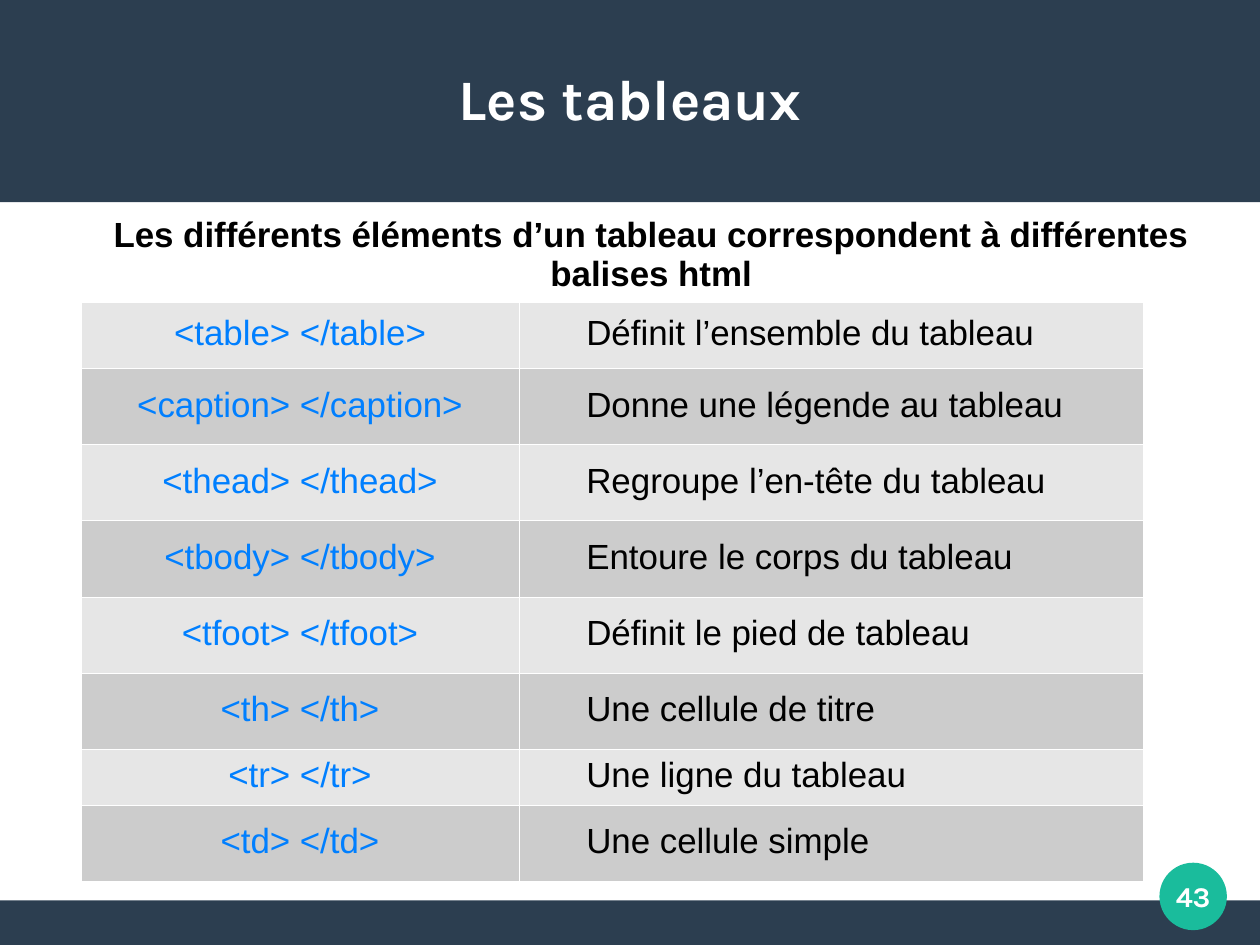
import pptx
import pptx.util
import pptx.dml.color
import pptx.enum.shapes
import pptx.enum.text
import pptx.oxml
import pptx.oxml.ns
import lxml.etree

Inches = pptx.util.Inches
Shape = pptx.enum.shapes.MSO_SHAPE
Align = pptx.enum.text.PP_ALIGN
Anchor = pptx.enum.text.MSO_ANCHOR
PAGE = pptx.util.Cm(28), pptx.util.Cm(21)
WIDE, HIGH = (side.inches for side in PAGE)
EDGE = 0.39
NAVY, TEAL, WHITE, BLACK, BLUE = "2C3E50", "1ABC9C", "FFFFFF", "000000", "007FFF"
BANDS = ["E6E6E6", "CCCCCC"]
COLS = [3.83, 5.46]
TALL = 2 / 3
TAGS = [
    ("table", "Définit l’ensemble du tableau", 0.58),
    ("caption", "Donne une légende au tableau", TALL),
    ("thead", "Regroupe l’en-tête du tableau", TALL),
    ("tbody", "Entoure le corps du tableau", TALL),
    ("tfoot", "Définit le pied de tableau", TALL),
    ("th", "Une cellule de titre", TALL),
    ("tr", "Une ligne du tableau", 0.49),
    ("td", "Une cellule simple", TALL),
]


def paint(fill, color):
    fill.solid()
    fill.fore_color.rgb = pptx.dml.color.RGBColor.from_string(color)


def place(shape, box):
    shape.left, shape.top, shape.width, shape.height = map(Inches, box)


def write(frame, text, size, color, font="Arial", bold=False, align=Align.CENTER):
    frame.text = text
    para = frame.paragraphs[0]
    para.alignment = align
    face = para.runs[0].font
    face.name, face.size, face.bold = font, pptx.util.Pt(size), bold
    paint(face.fill, color)
    return para


def indent(para, left):
    props = para._p.get_or_add_pPr()
    props.set("marL", str(Inches(left)))
    props.set("indent", "0")
    return props


def trim(frame, anchor):
    frame.margin_left = frame.margin_right = frame.margin_top = frame.margin_bottom = 0
    frame.word_wrap = True
    frame.auto_size = pptx.enum.text.MSO_AUTO_SIZE.NONE
    frame.vertical_anchor = anchor


def block(slide, kind, box, color):
    shape = slide.shapes.add_shape(kind, *map(Inches, box))
    shape.shadow.inherit = False
    paint(shape.fill, color)
    shape.line.fill.background()


def raise_up(shape):
    shape.element.getparent().append(shape.element)


def header(slide, box):
    left, top, width, height = box
    block(slide, Shape.RECTANGLE, box, NAVY)
    title = slide.shapes.title
    place(title, (left + EDGE, top + 0.33, width - 2 * EDGE, 1.05))
    trim(title.text_frame, Anchor.MIDDLE)
    write(title.text_frame, "Les tableaux", 36, WHITE, "Karla", True)
    raise_up(title)


def intro(slide, box):
    body = slide.placeholders[1]
    place(body, box)
    trim(body.text_frame, Anchor.TOP)
    text = "Les différents éléments d’un tableau correspondent à différentes balises html"
    para = write(body.text_frame, text, 22, BLACK, bold=True)
    lxml.etree.SubElement(indent(para, 0.37), pptx.oxml.ns.qn("a:buNone"))
    para.line_spacing = 0.93
    para.space_before = 0
    para.space_after = pptx.util.Pt(14.3)
    raise_up(body)


def border(cell):
    props = cell._tc.get_or_add_tcPr()
    for spot, side in enumerate("LRTB"):
        props.insert(spot, pptx.oxml.parse_xml(
            f'<a:ln{side} {pptx.oxml.ns.nsdecls("a")} w="720"><a:solidFill>'
            f'<a:srgbClr val="{WHITE}"/></a:solidFill></a:ln{side}>'))


def grid(slide, box):
    table = slide.shapes.add_table(len(TAGS), len(COLS), *map(Inches, box)).table
    table.first_row = table.horz_banding = False
    for col, width in zip(table.columns, COLS):
        col.width = Inches(width)
    for num, (tag, text, height) in enumerate(TAGS):
        table.rows[num].height = Inches(height)
        pair, note = table.rows[num].cells
        paras = [
            write(pair.text_frame, f"<{tag}> </{tag}>", 22, BLUE),
            write(note.text_frame, text, 22, BLACK, align=Align.LEFT),
        ]
        indent(paras[1], 0.49)
        for cell, para in zip((pair, note), paras):
            para.line_spacing = 0.93
            cell.vertical_anchor = Anchor.MIDDLE
            paint(cell.fill, BANDS[num % 2])
            border(cell)


def footer(slide, box):
    left, top, width, height = box
    block(slide, Shape.RECTANGLE, box, NAVY)
    block(slide, Shape.OVAL, (left + width - 0.88, top - 0.33, 0.59, 0.59), TEAL)
    page = slide.shapes.add_textbox(
        *map(Inches, (left + width - 0.98, top - 0.43, 0.79, 0.79)))
    trim(page.text_frame, Anchor.MIDDLE)
    write(page.text_frame, "43", 18, WHITE, "Karla", True)


def main():
    deck = pptx.Presentation()
    deck.slide_width, deck.slide_height = PAGE
    slide = deck.slides.add_slide(deck.slide_layouts[1])
    paint(slide.background.fill, WHITE)
    header(slide, (0, 0, WIDE, 1.77))
    intro(slide, (EDGE, 1.89, WIDE - 2 * EDGE, 5.51))
    grid(slide, (0.71, 2.64, sum(COLS), sum(row[2] for row in TAGS)))
    footer(slide, (0, HIGH - EDGE, WIDE, EDGE))
    deck.save("out.pptx")


if __name__ == "__main__":
    main()
